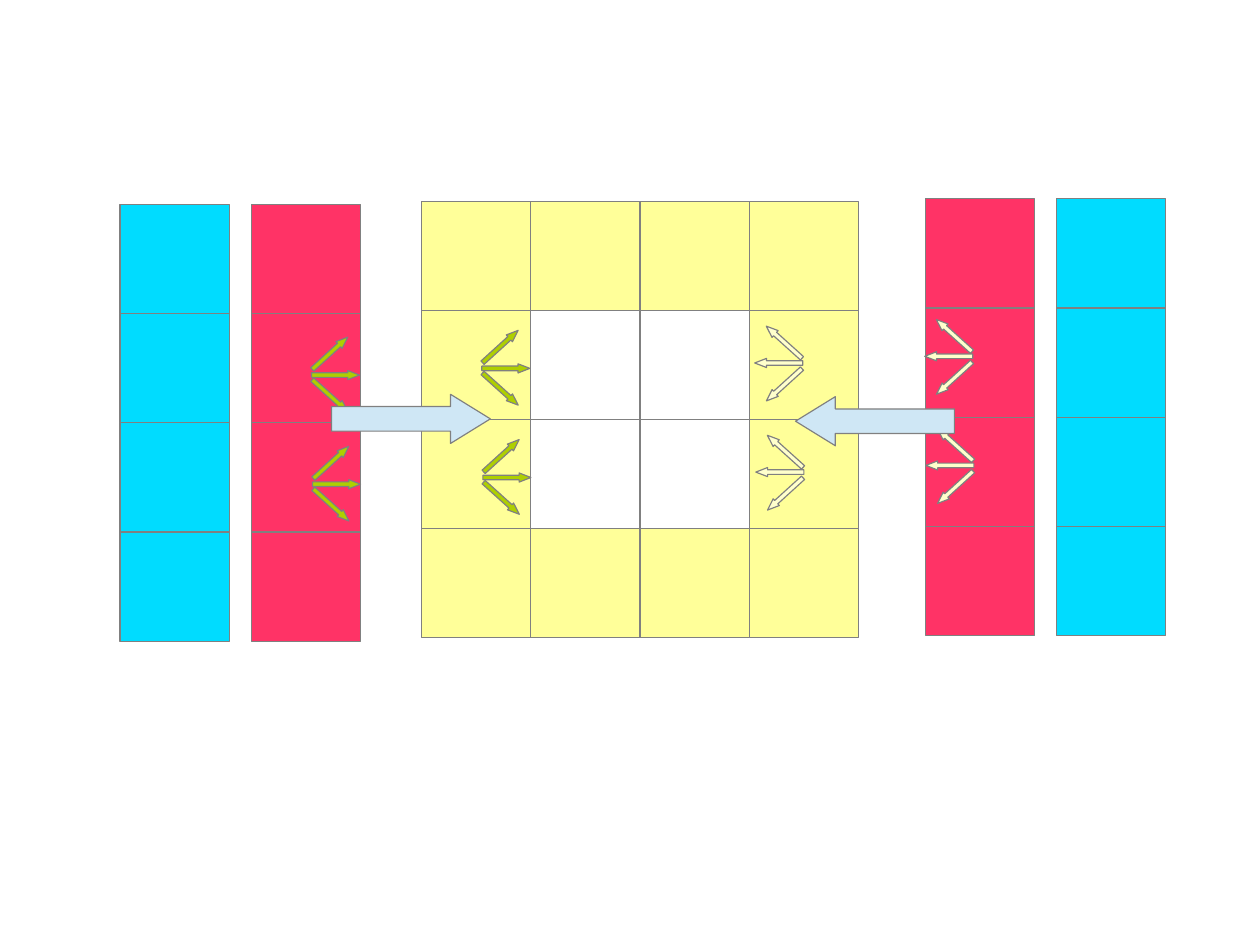
from collections import namedtuple
from itertools import product

from pptx import Presentation
from pptx.dml.color import RGBColor
from pptx.enum.shapes import MSO_SHAPE as Preset
from pptx.util import Cm, Inches, Pt

YELLOW = RGBColor(0xFF, 0xFF, 0x99)
WHITE = RGBColor(0xFF, 0xFF, 0xFF)
RED = RGBColor(0xFF, 0x33, 0x66)
CYAN = RGBColor(0x00, 0xDC, 0xFF)
GREEN = RGBColor(0xAE, 0xCF, 0x00)
CREAM = RGBColor(0xFF, 0xFF, 0xCC)
PALE_BLUE = RGBColor(0xCF, 0xE7, 0xF5)
GREY = RGBColor(0x80, 0x80, 0x80)

Box = namedtuple("Box", "left top width height")
ROWS = 4
SIDE = 3.82
CELL = SIDE / ROWS
RIGHTWARD, LEFTWARD = 1, -1
SPOKES = ((0, 0, 0), (-0.05, -0.2, 317.7), (-0.05, 0.19, 42))


def draw(shapes, preset, box, fill):
    part = shapes.add_shape(preset, *(Inches(length) for length in box))
    part.shadow.inherit = False
    part.fill.solid()
    part.fill.fore_color.rgb = fill
    part.line.color.rgb = GREY
    part.line.width = Pt(0)
    return part


def draw_cell(shapes, box, column, row, fill):
    cell = Box(box.left + column * CELL, box.top + row * CELL, CELL, CELL)
    draw(shapes, Preset.RECTANGLE, cell, fill)


def draw_board(shapes, box):
    inner = (1, 2)
    opening = (2, 1)
    for column, row in product(range(ROWS), repeat=2):
        if (column, row) != opening:
            fill = WHITE if column in inner and row in inner else YELLOW
            draw_cell(shapes, box, column, row, fill)


def draw_strip(shapes, box, fill):
    for row in range(ROWS):
        draw_cell(shapes, box, 0, row, fill)


def draw_arrow(shapes, box, head, fill, rotation):
    arrow = draw(shapes, Preset.RIGHT_ARROW, box, fill)
    arrow.adjustments[1] = head
    arrow.rotation = rotation % 360


def draw_fan_pair(shapes, box, column, row, direction, fill):
    for step in range(2):
        fan = shapes.add_group_shape().shapes
        for across, down, angle in SPOKES:
            spoke = Box(box.left + (column + 0.01 * step + direction * across) * CELL,
                        box.top + (row + step + direction * down) * CELL,
                        0.44 * CELL, 0.08)
            draw_arrow(fan, spoke, 1.29, fill, angle if direction == RIGHTWARD else angle + 180)


def build_slide(slide):
    shapes = slide.shapes
    board = Box(3.69, 1.76, SIDE, SIDE)
    left_red = Box(2.2, 1.79, CELL, SIDE)
    left_cyan = left_red._replace(left=1.05)
    right_red = Box(8.1, 1.74, CELL, SIDE)
    right_cyan = right_red._replace(left=9.24)

    draw_board(shapes, board)
    for strip, fill in ((left_red, RED), (left_cyan, CYAN),
                        (right_red, RED), (right_cyan, CYAN)):
        draw_strip(shapes, strip, fill)

    draw_fan_pair(shapes, board, 0.55, 1.49, RIGHTWARD, GREEN)
    draw_fan_pair(shapes, left_red, 0.55, 1.52, RIGHTWARD, GREEN)
    draw_fan_pair(shapes, board, 3.05, 1.44, LEFTWARD, CREAM)
    draw_fan_pair(shapes, right_red, -0.01, 1.4, LEFTWARD, CREAM)

    draw_arrow(shapes, Box(2.9, 3.45, 1.39, 0.43), 0.81, PALE_BLUE, 0)
    draw_arrow(shapes, Box(6.96, 3.47, 1.39, 0.43), 0.81, PALE_BLUE, 180)


def main():
    deck = Presentation()
    deck.slide_width = Cm(28)
    deck.slide_height = Cm(21)
    build_slide(deck.slides.add_slide(deck.slide_layouts[6]))
    deck.save("out.pptx")


if __name__ == "__main__":
    main()
